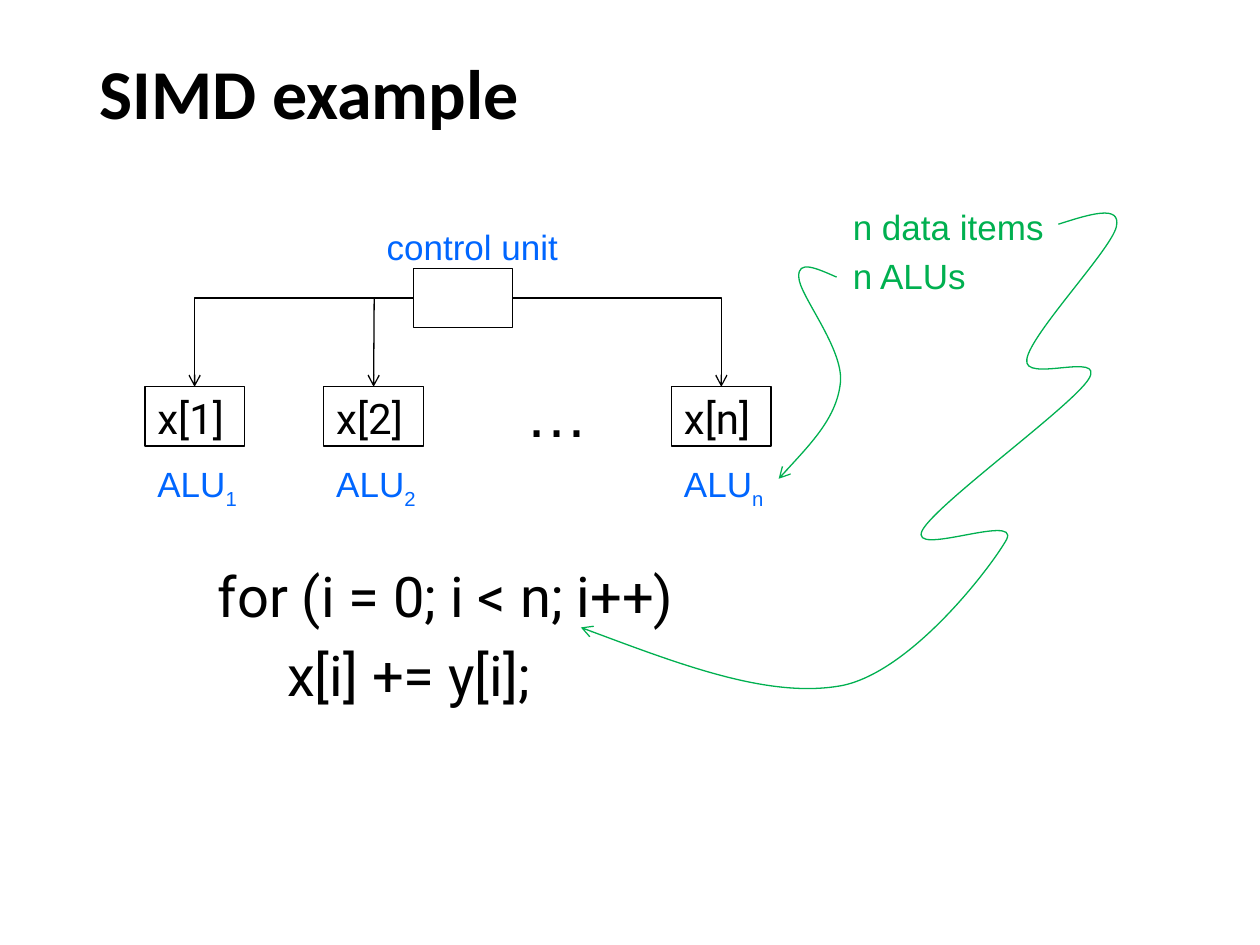
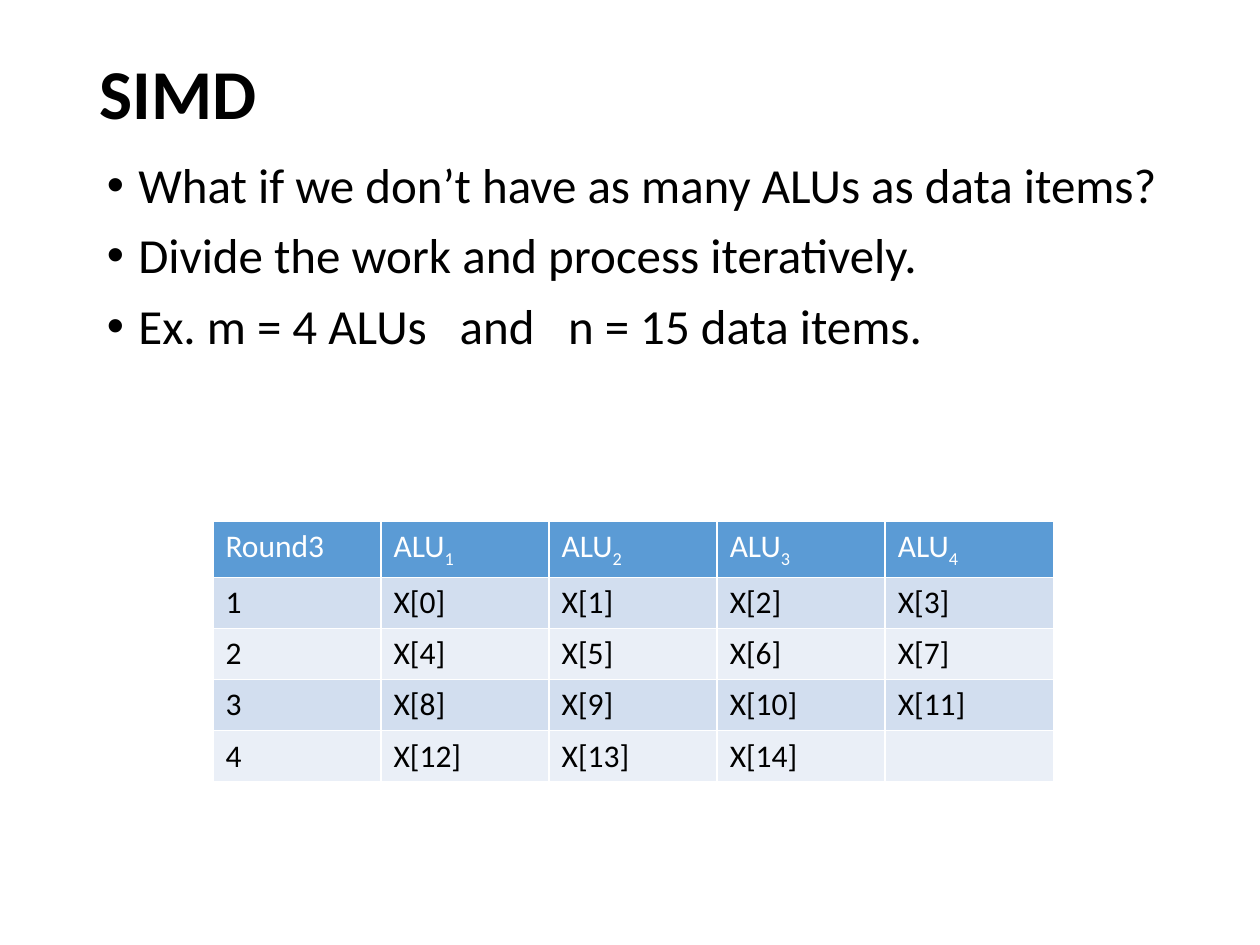
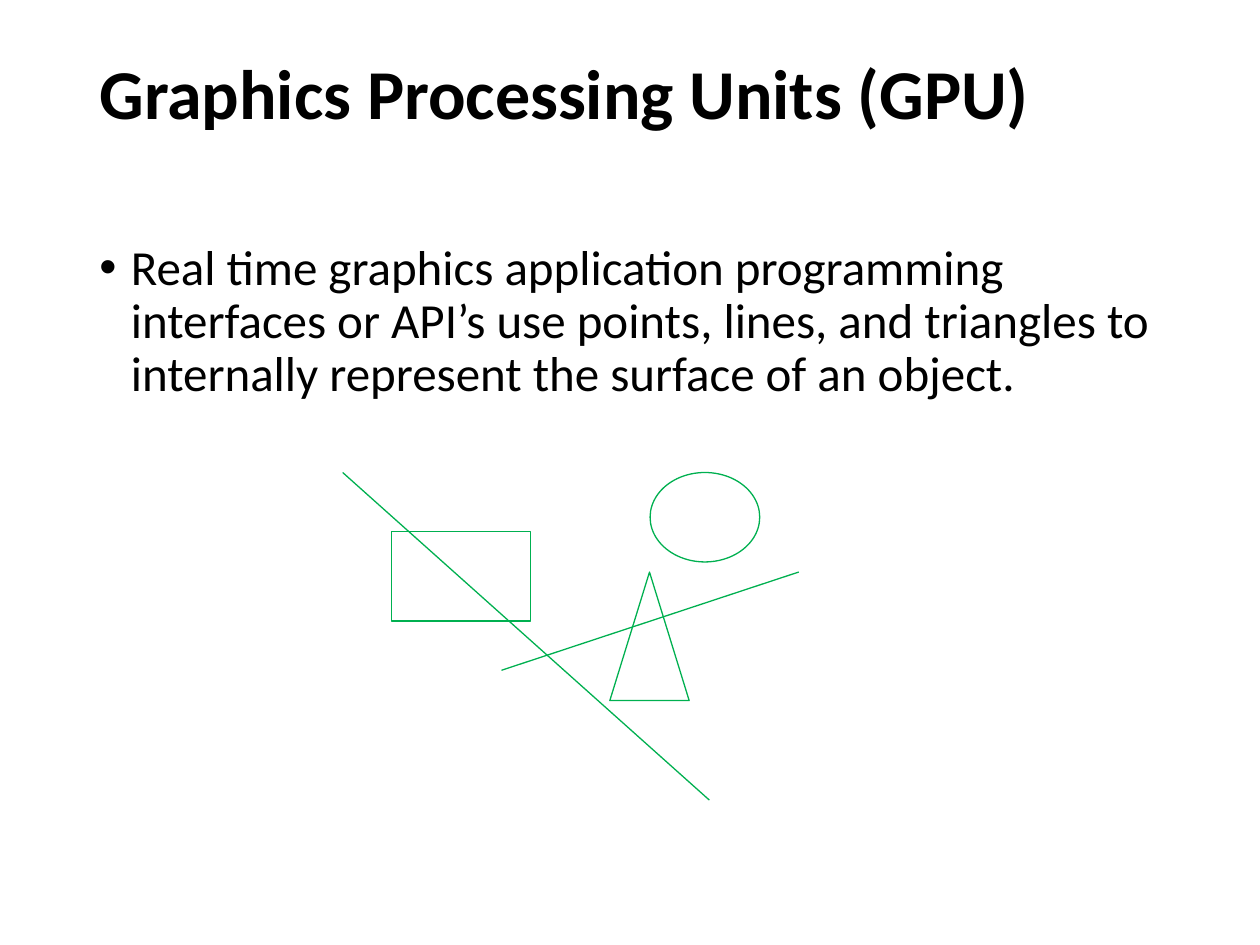
from pptx import Presentation
from pptx import util as u
from pptx.dml.color import RGBColor
from pptx.enum import shapes, text
from pptx.oxml.ns import qn
from lxml import etree

COLOURS = {
    "ink": "000000", "label": "0066FF", "accent": "00B050", "white": "FFFFFF",
    "header": "5B9BD5", "band_dark": "D2DEEF", "band_light": "EAEFF7",
}
TITLE = {"size": 40, "name": "Calibri", "color": "ink", "bold": True}
BODY = {"size": 28, "name": "Calibri", "color": "ink"}
LABEL = {"size": 20, "name": "Arial", "color": "label"}
NOTE = {"size": 20, "name": "Arial", "color": "accent"}
DOTS = {"size": 36, "name": "Arial", "color": "ink"}
CODE = {"size": 32, "name": "Roboto", "color": "ink"}
ITEM = {"size": 24, "name": "Roboto", "color": "ink"}
HEAD_CELL = {"size": 18, "name": "Calibri", "color": "white", "bold": False}
BODY_CELL = HEAD_CELL | {"color": "ink"}
LINE_WIDTH = u.Pt(0.75)


def colour(name):
    return RGBColor.from_string(COLOURS[name])


def inches(*lengths):
    return [u.Inches(length) for length in lengths]


# Text
def add_span(para, words, style):
    span = para.add_run()
    span.text = words
    for key, value in style.items():
        if key == "color":
            span.font.color.rgb = colour(value)
        else:
            setattr(span.font, key, u.Pt(value) if key == "size" else value)
    return span


def write(para, words, style):
    """Write words; whatever follows an underscore becomes a subscript."""
    base, _, subscript = words.partition("_")
    add_span(para, base, style)
    if subscript:
        span = add_span(para, subscript, style)
        span._r.get_or_add_rPr().set("baseline", "-25000")


def write_lines(frame, lines, style, space):
    for index, line in enumerate(lines):
        para = frame.add_paragraph() if index else frame.paragraphs[0]
        para.alignment = text.PP_ALIGN.LEFT
        if index:
            para.space_before = u.Pt(space)
        write(para, line, style)


def add_text(page, place, lines, style):
    frame = page.shapes.add_textbox(*inches(*place)).text_frame
    frame.word_wrap = False
    frame.auto_size = text.MSO_AUTO_SIZE.SHAPE_TO_FIT_TEXT
    write_lines(frame, lines, style, style["size"] * 0.2)


def add_bullets(page, place, lines, tabs=()):
    frame = page.shapes.add_textbox(*inches(*place)).text_frame
    frame.word_wrap = True
    write_lines(frame, lines, BODY, 10)
    for para in frame.paragraphs:
        para.line_spacing = 0.9
        props = para._p.get_or_add_pPr()
        props.set("marL", str(u.Inches(0.25)))
        props.set("indent", str(-u.Inches(0.25)))
        etree.SubElement(props, qn("a:buFont"), typeface="Arial")
        etree.SubElement(props, qn("a:buChar"), char="•")
        if "\t" in "".join(span.text for span in para.runs):
            stops = etree.SubElement(props, qn("a:tabLst"))
            for stop in tabs:
                etree.SubElement(stops, qn("a:tab"), pos=str(u.Inches(stop)), algn="l")


def add_page(deck, title):
    page = deck.slides.add_slide(deck.slide_layouts[5])
    box = page.shapes.title
    box.left, box.top, box.width, box.height = inches(0.69, 0.16, 8.62, 1.22)
    box.text_frame.vertical_anchor = text.MSO_ANCHOR.MIDDLE
    write_lines(box.text_frame, [title], TITLE, 0)
    box.text_frame.paragraphs[0].line_spacing = 0.9
    return page


# Outlines and lines
def outline(item, line_colour):
    item.line.color.rgb = colour(line_colour)
    item.line.width = LINE_WIDTH


def add_outline(page, kind, place, line_colour):
    shape = page.shapes.add_shape(kind, *inches(*place))
    shape.shadow.inherit = False
    shape.fill.background()
    outline(shape, line_colour)
    return shape


def add_item_box(page, place, words):
    box = add_outline(page, shapes.MSO_SHAPE.RECTANGLE, place, "ink")
    box.text_frame.word_wrap = False
    box.text_frame.vertical_anchor = text.MSO_ANCHOR.TOP
    write_lines(box.text_frame, [words], ITEM, 0)
    return box


def add_arrowhead(item):
    etree.SubElement(item.line._get_or_add_ln(), qn("a:tailEnd"), type="arrow")


def add_line(page, start, end, line_colour, kind=shapes.MSO_CONNECTOR.STRAIGHT):
    line = page.shapes.add_connector(kind, *inches(*start, *end))
    outline(line, line_colour)
    etree.SubElement(line._element.spPr, qn("a:effectLst"))
    return line


def add_corner_arrow(page, source, side, target, start, end):
    arrow = add_line(page, start, end, "ink", shapes.MSO_CONNECTOR.ELBOW)
    arrow._element.spPr.find(qn("a:prstGeom")).set("prst", "bentConnector2")
    arrow.begin_connect(source, side)
    arrow.end_connect(target, 0)
    add_arrowhead(arrow)


def add_curved_arrow(page, points, line_colour):
    """Draw cubic curves: a start, then two controls and an end for each."""
    start, *rest = [inches(*point) for point in points]
    builder = page.shapes.build_freeform(*start)
    builder.add_line_segments(rest, close=False)
    curve = builder.convert_to_shape()
    route = next(curve._element.iter(qn("a:path")))
    segments = route.findall(qn("a:lnTo"))
    for first in range(0, len(segments), 3):
        cubic = etree.SubElement(route, qn("a:cubicBezTo"))
        for segment in segments[first:first + 3]:
            cubic.append(segment[0])
            route.remove(segment)
    curve.shadow.inherit = False
    curve.fill.background()
    outline(curve, line_colour)
    add_arrowhead(curve)


# Table
def add_rounds_table(page, place, rows):
    table = page.shapes.add_table(len(rows), len(rows[0]), *inches(*place)).table
    for row_index, row in enumerate(rows):
        band = "band_dark" if row_index % 2 else "band_light"
        for column_index, words in enumerate(row):
            cell = table.cell(row_index, column_index)
            cell.fill.solid()
            cell.fill.fore_color.rgb = colour(band if row_index else "header")
            if words:
                write(cell.text_frame.paragraphs[0], words,
                      BODY_CELL if row_index else HEAD_CELL)


# Slides
def build_example(deck):
    page = add_page(deck, "SIMD example")
    box_width, box_height, box_top, bus = 0.79, 0.47, 3.07, 2.37
    control = add_outline(page, shapes.MSO_SHAPE.RECTANGLE,
                          (3.28, 2.13, box_width, box_height), "ink")
    add_text(page, (2.97, 1.74, 1.57, 0.44), ["control unit"], LABEL)
    boxes = []
    for left, index in ((1.15, "1"), (2.57, "2"), (5.33, "n")):
        boxes.append(add_item_box(page, (left, box_top, box_width, box_height),
                                  f"x[{index}]"))
        add_text(page, (left, 3.62, 0.85, 0.44), [f"ALU_{index}"], LABEL)
    add_text(page, (4.07, 2.92, 0.71, 0.71), ["…"], DOTS)
    add_text(page, (1.63, 4.41, 4.2, 1.28),
             ["for (i = 0; i < n; i++)", "     x[i] += y[i];"], CODE)

    # Control signals
    add_corner_arrow(page, control, 1, boxes[0], (3.28, bus), (1.55, box_top))
    add_corner_arrow(page, control, 3, boxes[2], (4.07, bus), (5.72, box_top))
    branch = add_line(page, (2.97, bus), (2.97, box_top), "ink")
    branch.end_connect(boxes[1], 0)
    add_arrowhead(branch)

    # Notes and their pointers
    add_text(page, (6.67, 1.58, 1.73, 0.84), ["n data items", "n ALUs"], NOTE)
    alu_pointer = [
        (6.64, 2.2), (6.48, 2.13), (6.33, 2.06), (6.34, 2.2),
        (6.34, 2.34), (6.7, 2.77), (6.67, 3.04),
        (6.64, 3.31), (6.41, 3.55), (6.18, 3.8),
    ]
    data_pointer = [
        (8.4, 1.78), (8.65, 1.7), (8.9, 1.62), (8.86, 1.8),
        (8.82, 1.98), (8.18, 2.65), (8.15, 2.85),
        (8.11, 3.05), (8.78, 2.78), (8.64, 3.01),
        (8.5, 3.23), (7.43, 4), (7.32, 4.21),
        (7.21, 4.43), (8.09, 4.07), (7.99, 4.28),
        (7.88, 4.48), (7.25, 5.32), (6.69, 5.44),
        (6.12, 5.55), (5.36, 5.26), (4.61, 4.98),
    ]
    for pointer in (alu_pointer, data_pointer):
        add_curved_arrow(page, pointer, "accent")


def build_rounds(deck):
    page = add_page(deck, "SIMD")
    add_bullets(page, (0.75, 1.23, 9.05, 2.83), [
        "What if we don’t have as many ALUs as data items?",
        "Divide the work and process iteratively.",
        "Ex. m = 4 ALUs\tand\tn = 15 data items.",
    ], tabs=(2.8, 3.66))
    alus, items = 4, 15
    rows = [["Round3"] + [f"ALU_{alu + 1}" for alu in range(alus)]]
    for first in range(0, items, alus):
        rows.append([str(first // alus + 1)] + [
            f"X[{item}]" if item < items else ""
            for item in range(first, first + alus)])
    add_rounds_table(page, (1.69, 4.14, 6.67, 2.03), rows)


def build_gpu(deck):
    page = add_page(deck, "Graphics Processing Units (GPU)")
    add_bullets(page, (0.69, 1.88, 8.62, 1.6), [
        "Real time graphics application programming interfaces or API’s use "
        "points, lines, and triangles to internally represent the surface of "
        "an object."])
    # Drawing primitives
    kinds = shapes.MSO_SHAPE
    for kind, place in (
        (kinds.ISOSCELES_TRIANGLE, (4.84, 4.54, 0.63, 1.02)),
        (kinds.RECTANGLE, (3.11, 4.22, 1.1, 0.71)),
        (kinds.OVAL, (5.16, 3.75, 0.87, 0.71)),
    ):
        add_outline(page, kind, place, "accent")
    for start, end in (((3.98, 5.32), (6.34, 4.54)), ((2.72, 3.75), (5.63, 6.35))):
        add_line(page, start, end, "accent")


def main():
    deck = Presentation()
    deck.slide_width, deck.slide_height = inches(10, 7.5)
    build_example(deck)
    build_rounds(deck)
    build_gpu(deck)
    deck.save("out.pptx")


if __name__ == "__main__":
    main()
